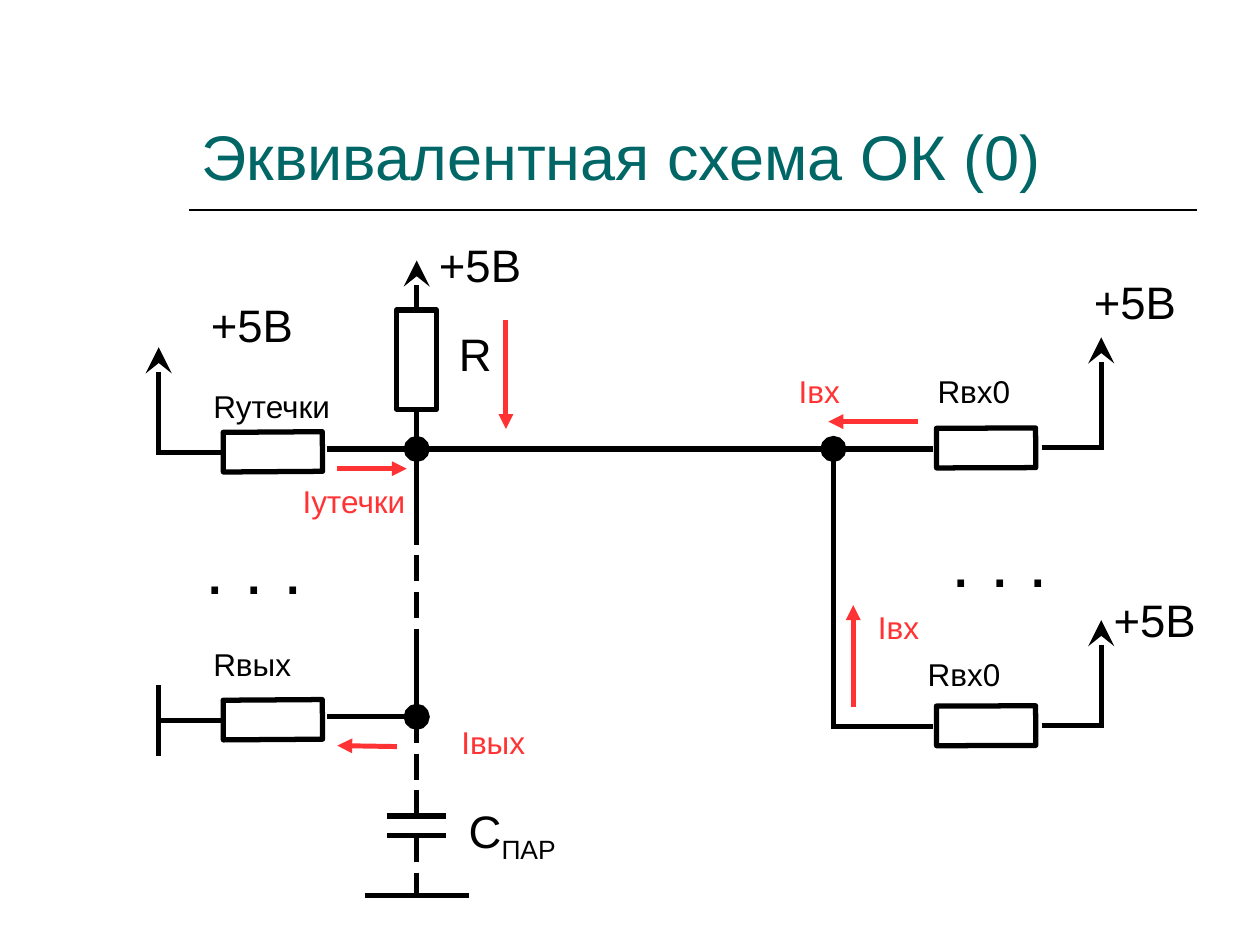
from dataclasses import dataclass

from lxml import etree
from pptx import Presentation
from pptx.dml.color import RGBColor
from pptx.enum.shapes import MSO_CONNECTOR, MSO_SHAPE
from pptx.enum.text import MSO_ANCHOR, PP_ALIGN
from pptx.oxml.ns import qn
from pptx.util import Cm, Pt

STRAIGHT = MSO_CONNECTOR.STRAIGHT
RECTANGLE = MSO_SHAPE.RECTANGLE
BOTTOM, TOP = MSO_ANCHOR.BOTTOM, MSO_ANCHOR.TOP
LEFT = PP_ALIGN.LEFT

FONT = "Arial"
COLORS = {"ink": "000000", "current": "FF3333", "title": "006666", "paper": "FFFFFF"}

# Main axes of the circuit, in cm
BUS_Y, OUTPUT_Y = 9.05, 14.45
PULLUP_X, INPUT_X = 8.4, 16.8
LEFT_RAIL_X, RIGHT_RAIL_X = 3.2, 22.2


@dataclass
class Wire:
    x1: float
    y1: float
    x2: float
    y2: float
    color: str = "ink"
    width: float = 3
    head: str = ""
    tail: str = ""
    dashed: bool = False


@dataclass
class Resistor:
    center_x: float
    center_y: float
    rotation: float = 0


@dataclass
class Label:
    text: str
    left: float
    top: float
    width: float
    size: float = 18
    color: str = "ink"
    subscript: str = ""


def rgb(name: str) -> RGBColor:
    return RGBColor.from_string(COLORS[name])


def draw_wire(slide, wire: Wire) -> None:
    connector = slide.shapes.add_connector(
        STRAIGHT, Cm(wire.x1), Cm(wire.y1), Cm(wire.x2), Cm(wire.y2))
    connector.line.color.rgb = rgb(wire.color)
    connector.line.width = Pt(wire.width)
    properties = connector._element.spPr
    line = properties.find(qn("a:ln"))
    if wire.dashed:
        pattern = etree.SubElement(line, qn("a:custDash"))
        etree.SubElement(pattern, qn("a:ds"), d="500000", sp="200000")
    for tag, kind in (("a:headEnd", wire.head), ("a:tailEnd", wire.tail)):
        if kind:
            scale = "med" if kind == "triangle" else "lg"
            etree.SubElement(line, qn(tag), type=kind, w=scale, len=scale)
    etree.SubElement(properties, qn("a:effectLst"))


def draw_resistor(slide, resistor: Resistor) -> None:
    width, height = 0.8, 2
    body = slide.shapes.add_shape(
        RECTANGLE, Cm(resistor.center_x - width / 2),
        Cm(resistor.center_y - height / 2), Cm(width), Cm(height))
    body.rotation = resistor.rotation
    body.shadow.inherit = False
    body.fill.solid()
    body.fill.fore_color.rgb = rgb("paper")
    body.line.color.rgb = rgb("ink")
    body.line.width = Pt(3)


def format_text(frame, size: float, color: str, anchor, inset_x: float, inset_y: float) -> None:
    frame.word_wrap = True
    frame.vertical_anchor = anchor
    frame.margin_left = frame.margin_right = Cm(inset_x)
    frame.margin_top = frame.margin_bottom = Cm(inset_y)
    paragraph = frame.paragraphs[0]
    paragraph.alignment = LEFT
    for run in paragraph.runs:
        run.font.name = FONT
        run.font.size = Pt(size)
        run.font.color.rgb = rgb(color)


def draw_label(slide, label: Label) -> None:
    height = {18: 1.32, 26: 1.37, 40: 1.96}[label.size]
    box = slide.shapes.add_textbox(
        Cm(label.left), Cm(label.top), Cm(label.width), Cm(height))
    frame = box.text_frame
    frame.text = label.text
    if label.subscript:
        run = frame.paragraphs[0].add_run()
        run.text = label.subscript
        run.font._element.set("baseline", "-25000")
    inset = (0.3, 0.18) if label.size == 18 else (0.25, 0.13)
    format_text(frame, label.size, label.color, TOP, *inset)


def supply(x: float, top: float, corner_y: float) -> list[Wire]:
    """Supply arrow and the rail that leads down to a resistor."""
    return [Wire(x, top + 0.7, x, corner_y), Wire(x, top, x, top + 1, head="stealth")]


WIRES = [
    # Bus, input branch and output branch
    Wire(6.6, BUS_Y, PULLUP_X, BUS_Y, tail="oval"),
    Wire(PULLUP_X, BUS_Y, 18.8, BUS_Y),
    Wire(INPUT_X, 10.05, INPUT_X, BUS_Y, tail="oval"),
    Wire(INPUT_X, BUS_Y, INPUT_X, 14.7),
    Wire(INPUT_X, 14.65, 18.8, 14.65),
    Wire(6.6, OUTPUT_Y, PULLUP_X, OUTPUT_Y, tail="oval"),
    # Pull-up column down to the capacitor and ground
    Wire(PULLUP_X, 5.25, PULLUP_X, 6.25, head="stealth"),
    Wire(PULLUP_X, 8.25, PULLUP_X, 10.45),
    Wire(PULLUP_X, 10.45, PULLUP_X, 13.05, dashed=True),
    Wire(PULLUP_X, 12.85, PULLUP_X, 14.25),
    Wire(PULLUP_X, OUTPUT_Y, PULLUP_X, 16.65, dashed=True),
    Wire(7.8, 16.45, 9, 16.45),
    Wire(7.8, 16.85, 9, 16.85),
    Wire(PULLUP_X, 16.85, PULLUP_X, 18.05, dashed=True),
    Wire(7.35, 18.05, 9.45, 18.05),
    # Outer leads, supplies and output ground
    Wire(4.45, 9.12, LEFT_RAIL_X, 9.12),
    Wire(4.45, 14.52, LEFT_RAIL_X, 14.52),
    Wire(LEFT_RAIL_X, 15.25, LEFT_RAIL_X, 13.8),
    Wire(21, 9.02, RIGHT_RAIL_X, 9.02),
    Wire(21, 14.62, RIGHT_RAIL_X, 14.62),
    *supply(LEFT_RAIL_X, 7, 9.17),
    *supply(RIGHT_RAIL_X, 6.8, 9.07),
    *supply(RIGHT_RAIL_X, 12.5, 14.67),
]

CURRENTS = [
    Wire(*ends, color="current", width=2.83, tail="triangle")
    for ends in [
        (18.5, 8.5, 16.7, 8.5),
        (17.2, 14.25, 17.2, 12.2),
        (10.2, 6.45, 10.2, 8.65),
        (6.8, 9.45, 8.2, 9.45),
        (8, 15.05, 6.8, 15.03),
    ]
]

RESISTORS = [
    Resistor(PULLUP_X, 7.25),
    Resistor(19.88, 9.03, 269.8),
    Resistor(19.88, 14.63, 269.8),
    Resistor(5.5, 9.11, 89.6),
    Resistor(5.5, 14.51, 89.6),
]

LABELS = [
    *[Label("+5В", left, top, 2.8, 26)
      for left, top in [(8.6, 4.65), (21.8, 5.4), (22.2, 11.8), (4, 5.85)]],
    Label("R", 9, 6.45, 3.2, 26),
    Label("C", 9.2, 16.05, 3.2, 26, subscript="ПАР"),
    Label(". . .", 3.9, 10.45, 3.2, 40),
    Label(". . .", 18.93, 10.3, 2.46, 40),
    Label("Rутечки", 4, 7.62, 3.2),
    Label("Rвых", 4, 12.83, 3.2),
    Label("Rвх0", 18.6, 7.32, 3.2),
    Label("Rвх0", 18.4, 13.03, 3.2),
    Label("Iвх", 15.8, 7.32, 2.7, color="current"),
    Label("Iвх", 17.4, 12.07, 2.7, color="current"),
    Label("Iутечки", 5.8, 9.53, 3.2, color="current"),
    Label("Iвых", 9, 14.4, 2.7, color="current"),
]


def main() -> None:
    presentation = Presentation()
    presentation.slide_width, presentation.slide_height = Cm(25.4), Cm(19.05)
    slide = presentation.slides.add_slide(presentation.slide_layouts[5])

    # Title and its rule
    title = slide.shapes.title
    title.left, title.top, title.width, title.height = Cm(3.81), Cm(0.84), Cm(20.32), Cm(3.18)
    title.text_frame.text = "Эквивалентная схема ОК (0)"
    format_text(title.text_frame, 36, "title", BOTTOM, 0.25, 0.13)
    draw_wire(slide, Wire(3.81, 4.23, 24.13, 4.23, width=1))

    # Circuit
    for wire in WIRES + CURRENTS:
        draw_wire(slide, wire)
    for resistor in RESISTORS:
        draw_resistor(slide, resistor)
    for label in LABELS:
        draw_label(slide, label)

    presentation.save("out.pptx")


if __name__ == "__main__":
    main()
